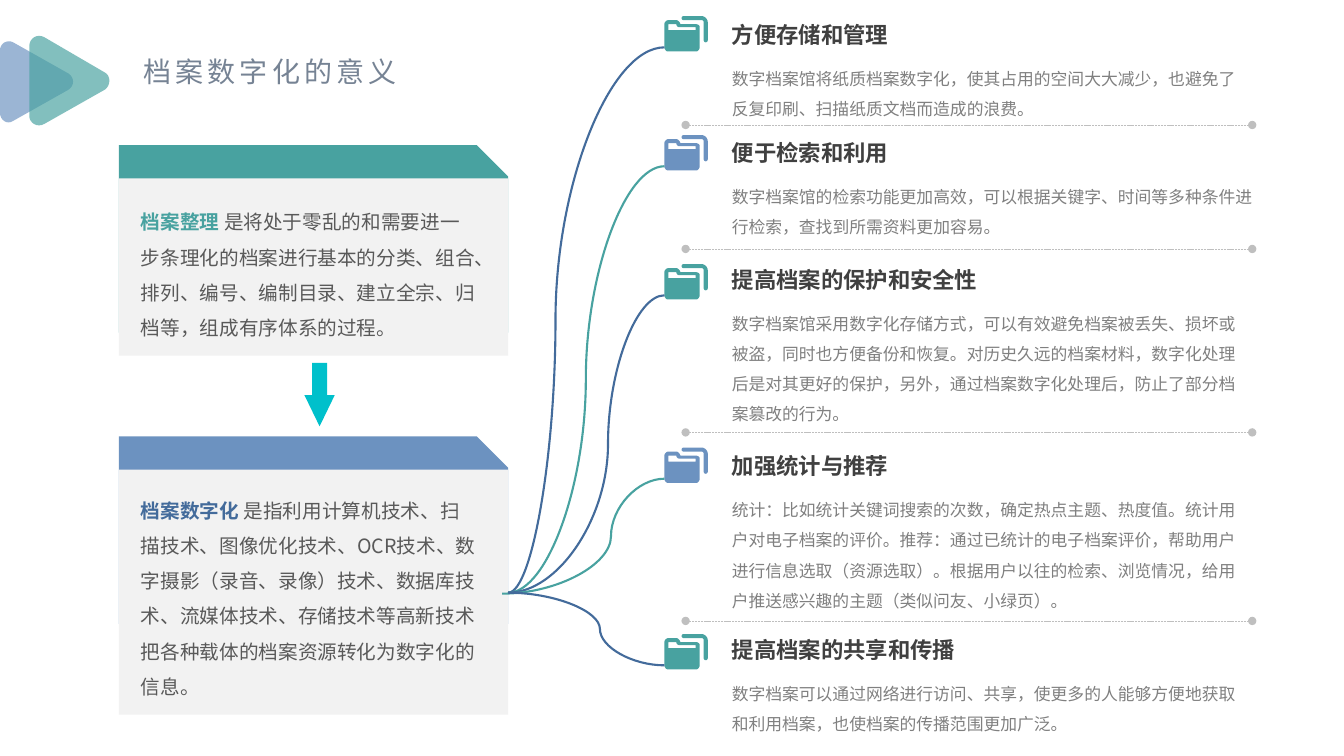
import lxml.etree
import pptx
import pptx.dml.color
import pptx.enum.dml
import pptx.enum.shapes
import pptx.enum.text
import pptx.oxml.ns
import pptx.util

Inches = pptx.util.Inches
SHAPES = pptx.enum.shapes.MSO_SHAPE
CONNECTORS = pptx.enum.shapes.MSO_CONNECTOR
qn = pptx.oxml.ns.qn

FONT = "Noto Sans CJK SC"
COLORS = {
    "teal": "48A2A0", "blue": "6C92C0", "navy": "436B9B", "cyan": "00C0CB",
    "title": "768394", "heading": "404040", "card_text": "595959",
    "body": "808080", "rule": "BFBFBF", "panel": "F2F2F2",
}
STYLES = {
    "title": {"size": 20, "bold": False, "color": "title"},
    "heading": {"size": 16, "bold": True, "color": "heading"},
    "body": {"size": 12, "bold": False, "color": "body"},
    "card": {"size": 14, "bold": False, "color": "card_text"},
}

TITLE = "档案数字化的意义"
# top, panel height, text top, text height, header colour, term colour, term, definition
CARDS = [
    (1.44, 1.76, 1.92, 1.47, "teal", "teal", "档案整理 ",
     "是将处于零乱的和需要进一步条理化的档案进行基本的分类、组合、排列、编号、编制目录、"
     "建立全宗、归档等，组成有序体系的过程。"),
    (4.33, 2.43, 4.78, 2.18, "blue", "navy", "档案数字化 ",
     "是指利用计算机技术、扫描技术、图像优化技术、OCR技术、数字摄影（录音、录像）技术、"
     "数据库技术、流媒体技术、存储技术等高新技术把各种载体的档案资源转化为数字化的信息。"),
]
# heading top, icon top, body width, body height, branch start, branch bend x, heading, body
BENEFITS = [
    (0.16, 0.16, 5.27, 0.67, (5.04, 5.88), 5.51, "方便存储和管理",
     "数字档案馆将纸质档案数字化，使其占用的空间大大减少，也避免了反复印刷、"
     "扫描纸质文档而造成的浪费。"),
    (1.33, 1.34, 5.38, 0.67, (5.04, 5.88), 5.81, "便于检索和利用",
     "数字档案馆的检索功能更加高效，可以根据关键字、时间等多种条件进行检索，"
     "查找到所需资料更加容易。"),
    (2.59, 2.62, 5.27, 1.28, (5.04, 5.88), 6.03, "提高档案的保护和安全性",
     "数字档案馆采用数字化存储方式，可以有效避免档案被丢失、损坏或被盗，同时也方便备份和恢复。"
     "对历史久远的档案材料，数字化处理后是对其更好的保护，另外，通过档案数字化处理后，"
     "防止了部分档案篡改的行为。"),
    (4.44, 4.44, 5.27, 1.28, (4.98, 5.89), 6.06, "加强统计与推荐",
     "统计：比如统计关键词搜索的次数，确定热点主题、热度值。统计用户对电子档案的评价。"
     "推荐：通过已统计的电子档案评价，帮助用户进行信息选取（资源选取）。"
     "根据用户以往的检索、浏览情况，给用户推送感兴趣的主题（类似问友、小绿页）。"),
    (6.26, 6.29, 5.27, 0.67, (5.04, 5.88), 5.95, "提高档案的共享和传播",
     "数字档案可以通过网络进行访问、共享，使更多的人能够方便地获取和利用档案，"
     "也使档案的传播范围更加广泛。"),
]
RULE_TOPS = [1.24, 2.47, 4.29, 6.16]
ICON_LEFT, TEXT_LEFT, CARD_LEFT, CARD_WIDTH = 6.59, 7.16, 1.18, 3.86

# Outlines: a pair is a corner, six numbers are a Bezier curve
BADGES = [
    ("blue", [(0.68, 0.73), (0.13, 0.42), (0.07, 0.39, 0, 0.43, 0, 0.5), (0, 1.12),
              (0, 1.19, 0.07, 1.24, 0.13, 1.2), (0.68, 0.89),
              (0.74, 0.85, 0.74, 0.77, 0.68, 0.73)]),
    ("teal", [(1.04, 0.72), (0.44, 0.37), (0.37, 0.33, 0.29, 0.38, 0.29, 0.46), (0.29, 1.15),
              (0.29, 1.22, 0.37, 1.27, 0.44, 1.23), (1.04, 0.89),
              (1.1, 0.85, 1.1, 0.75, 1.04, 0.72)]),
]
FOLDER = [
    [(0.04, 0.08), (0.04, 0.14), (0.31, 0.14), (0.31, 0.11), (0.16, 0.11),
     (0.14, 0.11, 0.13, 0.11, 0.12, 0.09), (0.12, 0.08)],
    [(0.04, 0.04), (0.12, 0.04), (0.13, 0.04, 0.14, 0.05, 0.15, 0.06), (0.16, 0.08),
     (0.31, 0.08), (0.33, 0.08, 0.35, 0.09, 0.35, 0.11), (0.35, 0.31),
     (0.35, 0.33, 0.33, 0.35, 0.32, 0.35), (0.03, 0.35), (0.02, 0.35, 0, 0.33, 0, 0.31),
     (0, 0.08), (0, 0.06, 0.02, 0.04, 0.04, 0.04)],
    [(0.19, 0), (0.37, 0), (0.4, 0, 0.43, 0.03, 0.43, 0.06), (0.43, 0.24),
     (0.43, 0.25, 0.42, 0.26, 0.41, 0.26), (0.4, 0.26, 0.39, 0.25, 0.39, 0.24),
     (0.39, 0.06), (0.39, 0.05, 0.38, 0.04, 0.37, 0.04), (0.19, 0.04),
     (0.18, 0.04, 0.17, 0.03, 0.17, 0.02), (0.17, 0.01, 0.18, 0, 0.19, 0)],
]


def rgb(name):
    return pptx.dml.color.RGBColor.from_string(COLORS[name])


def paint(shape, color):
    shape.shadow.inherit = False
    shape.fill.solid()
    shape.fill.fore_color.rgb = rgb(color)
    shape.line.fill.background()
    return shape


def add_block(kind, left, top, width, height, color):
    box = map(Inches, (left, top, width, height))
    return paint(slide.shapes.add_shape(kind, *box), color)


def flatten(outline, steps=8):
    """Turn corners and Bezier curves into a list of points."""
    points = []
    for part in outline:
        if len(part) == 2:
            points.append(part)
            continue
        controls = [points[-1], part[0:2], part[2:4], part[4:6]]
        for step in range(1, steps + 1):
            t = step / steps
            weights = ((1 - t) ** 3, 3 * t * (1 - t) ** 2, 3 * t * t * (1 - t), t ** 3)
            points.append(tuple(sum(w * point[axis] for w, point in zip(weights, controls))
                                for axis in (0, 1)))
    return points


def add_outline(outlines, color, left=0, top=0):
    contours = [[(Inches(left + x), Inches(top + y)) for x, y in flatten(outline)]
                for outline in outlines]
    builder = slide.shapes.build_freeform(*contours[0][0])
    for index, contour in enumerate(contours):
        if index:
            builder.move_to(*contour[0])
        builder.add_line_segments(contour[1:], close=True)
    return paint(builder.convert_to_shape(), color)


def write(shape, runs, spacing=1.0, wrap=True):
    """Fill a shape with one paragraph of (text, format) runs."""
    frame = shape.text_frame
    frame.word_wrap = wrap
    frame.auto_size = pptx.enum.text.MSO_AUTO_SIZE.NONE
    paragraph = frame.paragraphs[0]
    paragraph.alignment = pptx.enum.text.PP_ALIGN.LEFT
    paragraph.line_spacing = spacing
    for text, style in runs:
        run = paragraph.add_run()
        run.text = text
        formats = {"name": FONT, "size": pptx.util.Pt(style["size"]), "bold": style["bold"]}
        for attribute, value in formats.items():
            setattr(run.font, attribute, value)
        run.font.color.rgb = rgb(style["color"])
        lxml.etree.SubElement(run.font._element, qn("a:ea"), typeface=FONT)


def add_text(left, top, width, height, runs, spacing=1.0):
    write(slide.shapes.add_textbox(*map(Inches, (left, top, width, height))), runs, spacing)


def add_line(kind, start, end, color, weight):
    line = slide.shapes.add_connector(kind, *map(Inches, (*start, *end)))
    line.line.color.rgb = rgb(color)
    line.line.width = pptx.util.Pt(weight)
    lxml.etree.SubElement(line._element.spPr, qn("a:effectLst"))
    return line


presentation = pptx.Presentation()
presentation.slide_width, presentation.slide_height = Inches(13.33), Inches(7.5)
slide = presentation.slides.add_slide(presentation.slide_layouts[5])

title = slide.shapes.title
title.left, title.top, title.width, title.height = map(Inches, (1.32, 0.49, 2.78, 0.44))
write(title, [(TITLE, STYLES["title"])], wrap=False)
title.text_frame.vertical_anchor = pptx.enum.text.MSO_ANCHOR.MIDDLE
title.text_frame.paragraphs[0].runs[0].font._element.set("spc", "300")

for color, outline in BADGES:
    badge = add_outline([outline], color)
    color_element = badge._element.spPr.find(qn("a:solidFill"))[0]
    lxml.etree.SubElement(color_element, qn("a:alpha"), val="68000")

for top, height, text_top, text_height, color, term_color, term, definition in CARDS:
    add_block(SHAPES.SNIP_1_RECTANGLE, CARD_LEFT, top, CARD_WIDTH, 1.86, color)
    add_block(SHAPES.RECTANGLE, CARD_LEFT, top + 0.33, CARD_WIDTH, height, "panel")
    term_style = {**STYLES["card"], "bold": True, "color": term_color}
    add_text(1.3, text_top, 3.54, text_height,
             [(term, term_style), (definition, STYLES["card"])], 1.5)

arrow = add_block(SHAPES.DOWN_ARROW, 3.02, 3.6, 0.3, 0.63, "cyan")
arrow.adjustments[0], arrow.adjustments[1] = 0.5, 1.03

for index, (top, icon_top, width, height, start, bend, heading, body) in enumerate(BENEFITS):
    add_text(TEXT_LEFT, top, 4.46, 0.37, [(heading, STYLES["heading"])])
    add_text(TEXT_LEFT, top + 0.37, width, height, [(body, STYLES["body"])], 1.5)
    add_outline(FOLDER, ("teal", "blue")[index % 2], ICON_LEFT, icon_top)
    branch = add_line(CONNECTORS.CURVE, start, (ICON_LEFT, icon_top + 0.31),
                      ("navy", "teal")[index % 2], 1.5)
    bend_share = round((bend - start[0]) / (ICON_LEFT - start[0]) * 100000)
    guides = branch._element.spPr.find(qn("a:prstGeom")).get_or_add_avLst()
    lxml.etree.SubElement(guides, qn("a:gd"), name="adj1", fmla=f"val {bend_share}")

for top in RULE_TOPS:
    rule = add_line(CONNECTORS.STRAIGHT, (6.8, top), (12.42, top), "rule", 0.5)
    rule.line.dash_style = pptx.enum.dml.MSO_LINE.SQUARE_DOT
    for end in ("a:headEnd", "a:tailEnd"):
        lxml.etree.SubElement(rule.line._get_or_add_ln(), qn(end), type="oval")

presentation.save("out.pptx")
